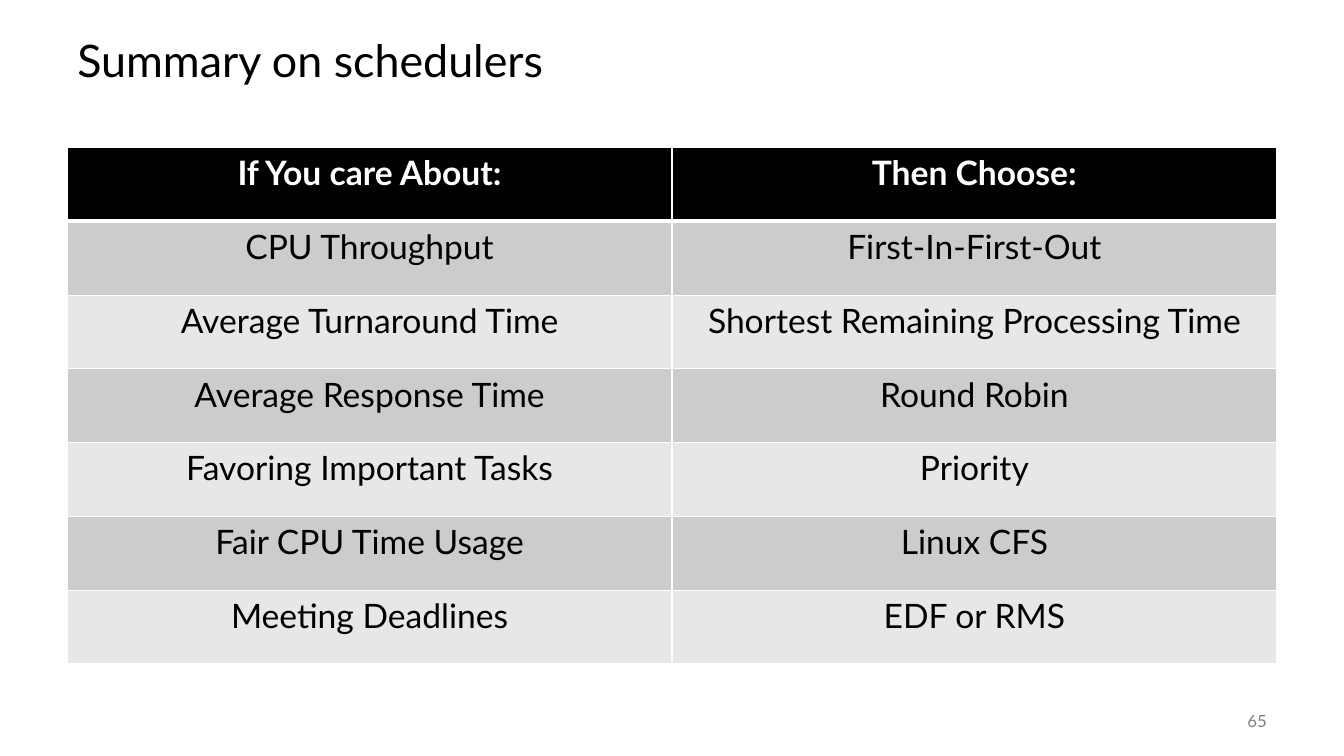
"""Build a slide that sums up which scheduler suits which goal."""
import pptx
import pptx.dml.color
import pptx.enum.text
import pptx.oxml
import pptx.oxml.ns
import pptx.util

Pt = pptx.util.Pt
RGB = pptx.dml.color.RGBColor
ALIGN = pptx.enum.text.PP_ALIGN
ANCHOR = pptx.enum.text.MSO_ANCHOR

TITLE = "Summary on schedulers"
ROWS = [
    ("If You care About:", "Then Choose:"),
    ("CPU Throughput", "First-In-First-Out"),
    ("Average Turnaround Time", "Shortest Remaining Processing Time"),
    ("Average Response Time", "Round Robin"),
    ("Favoring Important Tasks", "Priority"),
    ("Fair CPU Time Usage", "Linux CFS"),
    ("Meeting Deadlines", "EDF or RMS"),
]
NUMBER = "65"

BLACK = RGB(0x00, 0x00, 0x00)
WHITE = RGB(0xFF, 0xFF, 0xFF)
DARK = RGB(0xCC, 0xCC, 0xCC)
LIGHT = RGB(0xE7, 0xE7, 0xE7)
GRAY = RGB(0x80, 0x80, 0x80)

LEFT, WIDTH = 48, 864
TOP, HIGH = 105.4, 52.7


def write(frame, text, size=24, color=BLACK, bold=False, align=ALIGN.LEFT,
          anchor=ANCHOR.MIDDLE, space=1.0):
    frame.word_wrap = True
    frame.vertical_anchor = anchor
    para = frame.paragraphs[0]
    para.alignment = align
    para.line_spacing = space
    run = para.add_run()
    run.text = text
    font = run.font
    font.name, font.size, font.bold = "Lato", Pt(size), bold
    font.color.rgb = color


def edge(cell, side, width):
    line = pptx.oxml.parse_xml(
        f'<a:{side} {pptx.oxml.ns.nsdecls("a")} w="{Pt(width)}">'
        f'<a:solidFill><a:srgbClr val="{WHITE}"/></a:solidFill></a:{side}>')
    cell._tc.get_or_add_tcPr().append(line)


def place(shape, left, top, width, height):
    shape.left, shape.top = Pt(left), Pt(top)
    shape.width, shape.height = Pt(width), Pt(height)


def main():
    deck = pptx.Presentation()
    deck.slide_width, deck.slide_height = Pt(960), Pt(540)
    slide = deck.slides.add_slide(deck.slide_layouts[5])

    title = slide.shapes.title
    place(title, LEFT, 18, WIDTH, 54)
    write(title.text_frame, TITLE, size=32, space=0.9)

    table = slide.shapes.add_table(
        len(ROWS), len(ROWS[0]), Pt(LEFT), Pt(TOP),
        Pt(WIDTH), Pt(HIGH * len(ROWS))).table
    for r, row in enumerate(ROWS):
        table.rows[r].height = Pt(HIGH)
        head = r == 0
        fill = BLACK if head else (LIGHT, DARK)[r % 2]
        for c, text in enumerate(row):
            cell = table.cell(r, c)
            for side in ("lnL", "lnR", "lnT", "lnB"):
                thick = (side == "lnB" and r == 0) or (side == "lnT" and r == 1)
                edge(cell, side, 3 if thick else 1)
            cell.fill.solid()
            cell.fill.fore_color.rgb = fill
            write(cell.text_frame, text, color=WHITE if head else BLACK,
                  bold=head, align=ALIGN.CENTER, anchor=ANCHOR.TOP)
            cell.vertical_anchor = ANCHOR.TOP

    number = slide.shapes.add_textbox(Pt(840), Pt(500.4), Pt(72), Pt(28.8))
    write(number.text_frame, NUMBER, size=12, color=GRAY, align=ALIGN.RIGHT)

    deck.save("out.pptx")


if __name__ == "__main__":
    main()
